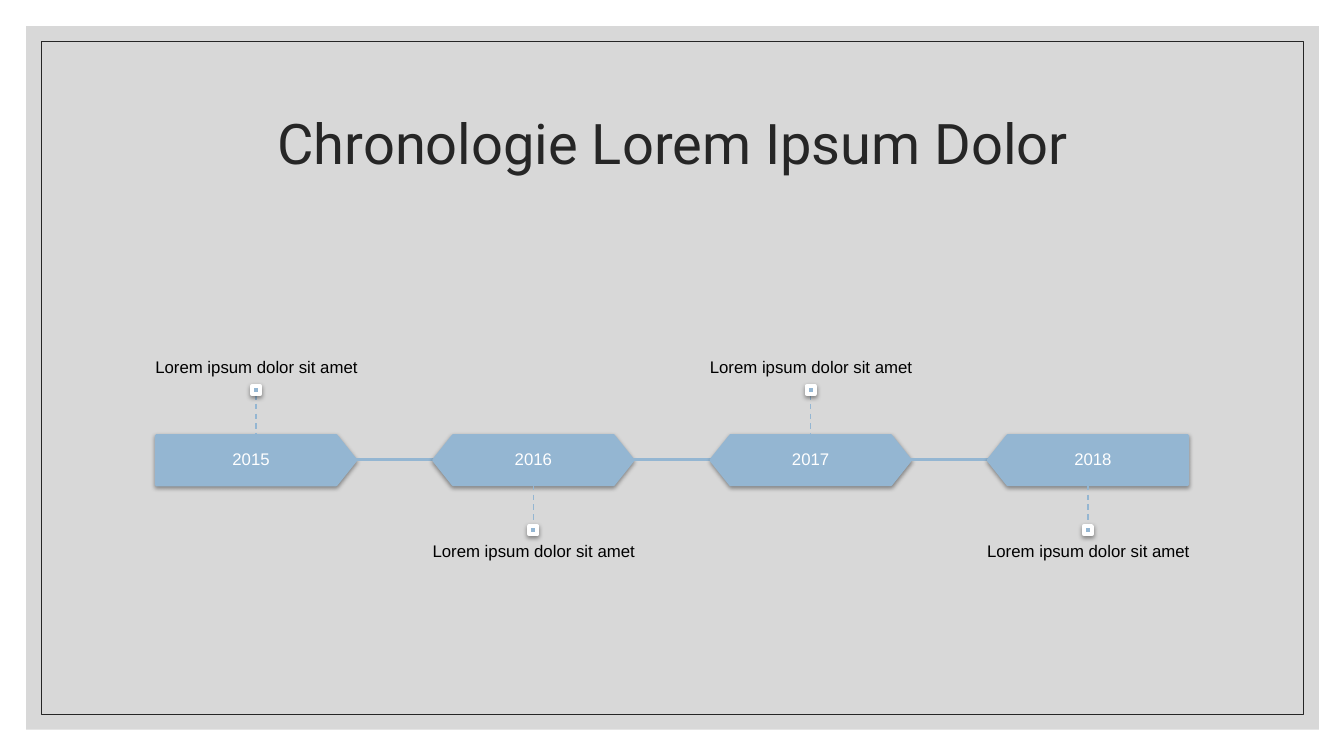
from typing import NamedTuple

from lxml.etree import SubElement
from pptx import Presentation
from pptx.dml.color import RGBColor
from pptx.enum.dml import MSO_LINE as Dash
from pptx.enum.shapes import MSO_CONNECTOR as Link, MSO_SHAPE as Kind
from pptx.enum.text import MSO_ANCHOR as Anchor, PP_ALIGN as Align
from pptx.oxml.ns import qn
from pptx.shapes.autoshape import Shape
from pptx.util import Emu, Pt

BLUE, WHITE, BLACK, DARK, GREY = "94B6D2", "FFFFFF", "000000", "262626", "BFBFBF"
LEFT, STEP, TOP, WIDE, HIGH = 155, 275, 432, 198, 49
MID = 456
NOTE_TOP, NOTE_LOW, NOTE_HIGH = 253, 530, 130
DOT, DOT_TOP, DOT_LOW = 8, 383, 522


class Box(NamedTuple):
    x: int
    y: int
    w: int
    h: int


class Stop(NamedTuple):
    year: str
    note: str
    kind: Kind
    turn: int
    pad_left: int
    pad_right: int


STOPS = [
    Stop("2015", "Lorem ipsum dolor sit amet", Kind.PENTAGON, 0, 0, 10),
    Stop("2016", "Lorem ipsum dolor sit amet", Kind.HEXAGON, 0, 23, 23),
    Stop("2017", "Lorem ipsum dolor sit amet", Kind.HEXAGON, 0, 23, 23),
    Stop("2018", "Lorem ipsum dolor sit amet", Kind.PENTAGON, 180, 10, 0),
]


def px(n: int) -> Emu:
    """Turn px, 100 to the inch, into EMU."""
    return Emu(n * 9144)


def rgb(code: str) -> RGBColor:
    return RGBColor.from_string(code)


def add_form(kind: Kind, box: Box, fill: str = "", line: str = "",
             size: float = 1) -> Shape:
    form = slide.shapes.add_shape(kind, *map(px, box))
    form.shadow.inherit = False
    if fill:
        form.fill.solid()
        form.fill.fore_color.rgb = rgb(fill)
    else:
        form.fill.background()
    if line:
        form.line.color.rgb = rgb(line)
        form.line.width = Pt(size)
    else:
        form.line.fill.background()
    return form


def cast(form: Shape) -> None:
    """Give the form a soft shadow straight below it."""
    effect = form._element.spPr.find(qn("a:effectLst"))
    shade = SubElement(effect, qn("a:outerShdw"), blurRad=str(Pt(3.1)),
                       dist=str(Pt(1.6)), dir="5400000", algn="ctr",
                       rotWithShape="0")
    tone = SubElement(shade, qn("a:srgbClr"), val=BLACK)
    SubElement(tone, qn("a:alpha"), val="38000")


def add_line(x1: int, y1: int, x2: int, y2: int, size: float,
             dash: bool = False) -> None:
    line = slide.shapes.add_connector(Link.STRAIGHT, *map(px, (x1, y1, x2, y2)))
    line.line.color.rgb = rgb(BLUE)
    line.line.width = Pt(size)
    if dash:
        line.line.dash_style = Dash.DASH
    SubElement(line._element.spPr, qn("a:effectLst"))


def add_text(box: Box, words: str, size: int, tint: str, font: str = "Arial",
             anchor: Anchor = Anchor.MIDDLE, side: int = 10, edge: int = 10) -> None:
    frame = slide.shapes.add_textbox(*map(px, box)).text_frame
    frame.word_wrap = True
    frame.vertical_anchor = anchor
    frame.margin_left = frame.margin_right = px(side)
    frame.margin_top = frame.margin_bottom = px(edge)
    para = frame.paragraphs[0]
    para.alignment = Align.CENTER
    para.line_spacing = 0.9
    run = para.add_run()
    run.text = words
    run.font.size = Pt(size)
    run.font.name = font
    run.font.color.rgb = rgb(tint)


def add_stop(i: int, stop: Stop) -> None:
    x = LEFT + i * STEP
    mid = x + WIDE // 2
    above = i % 2 == 0
    plate = add_form(stop.kind, Box(x, TOP, WIDE, HIGH), BLUE, BLUE, 2)
    plate.adjustments[0] = 0.4
    plate.rotation = stop.turn
    cast(plate)
    inner = WIDE - stop.pad_left - stop.pad_right
    add_text(Box(x + stop.pad_left, TOP, inner, HIGH), stop.year, 12, WHITE)
    add_text(Box(mid - STEP // 2, NOTE_TOP if above else NOTE_LOW, STEP, NOTE_HIGH),
             stop.note, 12, BLACK, side=0, edge=12,
             anchor=Anchor.BOTTOM if above else Anchor.TOP)
    if i < len(STOPS) - 1:
        add_line(x + WIDE, MID, x + STEP, MID, 2)
    if above:
        add_line(mid, DOT_TOP + DOT, mid, TOP, 1, True)
    else:
        add_line(mid, TOP + HIGH, mid, DOT_LOW, 1, True)
    dot = Box(mid - DOT // 2, DOT_TOP if above else DOT_LOW, DOT, DOT)
    cast(add_form(Kind.RECTANGLE, dot, BLUE, WHITE, 3))


deck = Presentation()
deck.slide_width, deck.slide_height = px(1333), px(750)
slide = deck.slides.add_slide(deck.slide_layouts[6])

panel = add_form(Kind.RECTANGLE, Box(26, 26, 1282, 698), GREY)
tone = panel._element.spPr.find(qn("a:solidFill"))[0]
SubElement(tone, qn("a:alpha"), val="60000")
add_form(Kind.RECTANGLE, Box(41, 41, 1252, 668), line=DARK, size=0.5)
add_text(Box(117, 70, 1100, 150), "Chronologie Lorem Ipsum Dolor", 40, DARK,
         "Roboto", edge=5)

for i, stop in enumerate(STOPS):
    add_stop(i, stop)

deck.save("out.pptx")
